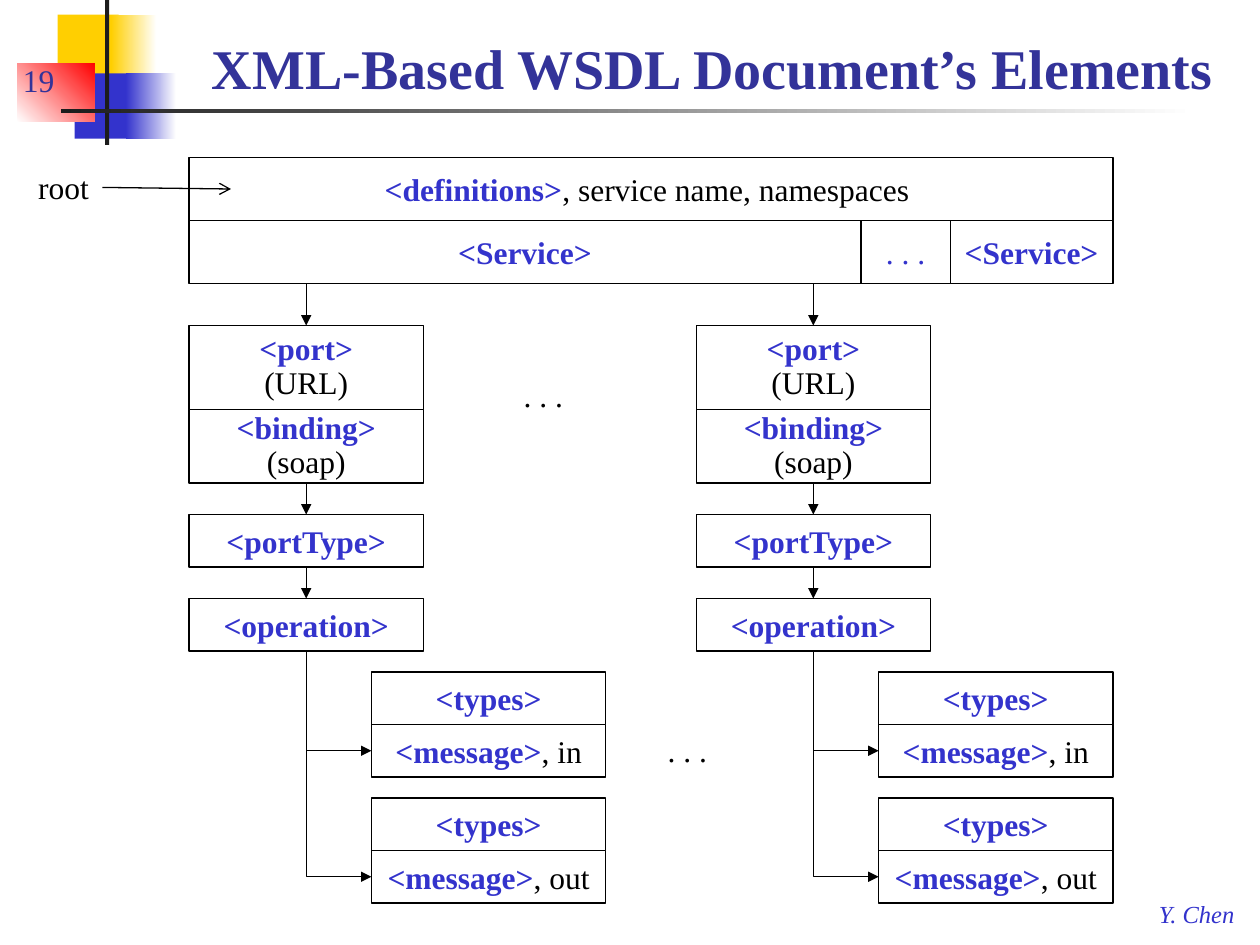
import dataclasses
import typing

import pptx
import pptx.dml.color
import pptx.enum.shapes
import pptx.enum.text
import pptx.oxml
import pptx.oxml.ns
import pptx.util

# The slide is a grid of 120 columns by 90 rows
COLS, ROWS = 120, 90
FONT = "Times New Roman"
BLACK, WHITE, BLUE, NAVY = "000000", "FFFFFF", "3333CC", "333399"
GOLD, RED, DARK = "FFCF01", "FF0000", "1C1C1C"
ANCHOR = pptx.enum.text.MSO_ANCHOR
KIND = pptx.enum.shapes.MSO_CONNECTOR

deck = pptx.Presentation()
deck.slide_width = pptx.util.Inches(10)
deck.slide_height = pptx.util.Inches(7.5)
slide = deck.slides.add_slide(deck.slide_layouts[6])


@dataclasses.dataclass
class Area:
    col: float
    row: float
    wide: float
    high: float

    def place(self) -> tuple:
        return (across(self.col), down(self.row), across(self.wide), down(self.high))


class Run(typing.NamedTuple):
    text: str
    color: str = BLACK
    bold: bool = False
    size: float = 18
    slant: bool = False


class Cell(typing.NamedTuple):
    area: Area
    lines: list


def across(cols: float) -> int:
    return round(deck.slide_width * cols / COLS)


def down(rows: float) -> int:
    return round(deck.slide_height * rows / ROWS)


def paint(code: str) -> pptx.dml.color.RGBColor:
    return pptx.dml.color.RGBColor.from_string(code)


def tag(name: str) -> Run:
    return Run(f"<{name}>", BLUE, True)


def write(shape, lines: list, anchor, align=None, space=None) -> None:
    frame = shape.text_frame
    frame.text = "\n".join("" for _ in lines)
    frame.vertical_anchor = anchor
    frame.word_wrap = False
    for para, runs in zip(frame.paragraphs, lines):
        para.alignment = align
        para.line_spacing = space
        for item in runs:
            run = para.add_run()
            run.text = item.text
            font = run.font
            font.name, font.size = FONT, pptx.util.Pt(item.size)
            font.bold, font.italic = item.bold, item.slant
            font.color.rgb = paint(item.color)


def draw_rect(area: Area, fill: str, fade: str = "", angle: float = 0):
    shape = slide.shapes.add_shape(
        pptx.enum.shapes.MSO_SHAPE.RECTANGLE, *area.place())
    shape.shadow.inherit = False
    shape.line.fill.background()
    if fade:
        shape.fill.gradient()
        shape.fill.gradient_angle = angle
        for stop, code in zip(shape.fill.gradient_stops, (fill, fade)):
            stop.color.rgb = paint(code)
    else:
        shape.fill.solid()
        shape.fill.fore_color.rgb = paint(fill)
    return shape


def draw_cell(cell: Cell) -> None:
    shape = draw_rect(cell.area, WHITE)
    shape.line.color.rgb = paint(BLACK)
    shape.line.width = pptx.util.Pt(0.75)
    write(shape, cell.lines, ANCHOR.MIDDLE, pptx.enum.text.PP_ALIGN.CENTER,
          0.9 if len(cell.lines) > 1 else None)


def draw_text(area: Area, run: Run, anchor=ANCHOR.TOP, grow: bool = True) -> None:
    box = slide.shapes.add_textbox(*area.place())
    write(box, [[run]], anchor)
    box.text_frame.word_wrap = not grow
    if grow:
        box.text_frame.auto_size = pptx.enum.text.MSO_AUTO_SIZE.SHAPE_TO_FIT_TEXT


def draw_arrow(x: float, y: float, to_x: float, to_y: float,
               head: str = "triangle", kind=KIND.STRAIGHT):
    link = slide.shapes.add_connector(
        kind, across(x), down(y), across(to_x), down(to_y))
    link.line.color.rgb = paint(BLACK)
    link.line.width = pptx.util.Pt(0.75)
    props = link._element.spPr
    space = pptx.oxml.ns.nsdecls("a")
    props.find(pptx.oxml.ns.qn("a:ln")).append(
        pptx.oxml.parse_xml(f'<a:tailEnd {space} type="{head}"/>'))
    props.append(pptx.oxml.parse_xml(f"<a:effectLst {space}/>"))
    return link


def draw_elbow(x: float, y: float, to_x: float, to_y: float) -> None:
    """Run down, then right: a one-bend connector turned on its side."""
    mid_x, mid_y = (x + to_x) / 2, (y + to_y) / 2
    half_w, half_h = (to_y - y) / 2, (to_x - x) / 2
    link = draw_arrow(mid_x - half_w, mid_y - half_h,
                      mid_x + half_w, mid_y + half_h, kind=KIND.ELBOW)
    props = link._element.spPr
    props.find(pptx.oxml.ns.qn("a:prstGeom")).set("prst", "bentConnector2")
    frame = props.find(pptx.oxml.ns.qn("a:xfrm"))
    frame.set("rot", str(270 * 60000))
    frame.set("flipH", "1")


WIDE = 22.33  # width of a box in a branch
SHIFT = 17.37  # step from a branch to its messages


def draw_branch(left: float) -> None:
    mid = left + WIDE / 2
    side = left + SHIFT
    stack = [
        (31, 8, [[tag("port")], [Run("(URL)")]]),
        (39, 7, [[tag("binding")], [Run("(soap)")]]),
        (49, 5, [[tag("portType")]]),
        (57, 5, [[tag("operation")]]),
    ]
    for row, high, lines in stack:
        draw_cell(Cell(Area(left, row, WIDE, high), lines))
    for row, end in ((27, 31), (46, 49), (54, 57)):
        draw_arrow(mid, row, mid, end)
    for row, way in ((64, "in"), (76, "out")):
        draw_cell(Cell(Area(side, row, WIDE, 5), [[tag("types")]]))
        draw_cell(Cell(Area(side, row + 5, WIDE, 5),
                       [[tag("message"), Run(f", {way}")]]))
        draw_elbow(mid, 62, side, row + 7.5)


# Corner ornament and title rule
draw_rect(Area(5.5, 1.4, 5.8, 6.2), GOLD)
draw_rect(Area(10.6, 1.4, 4.3, 6.2), GOLD, WHITE)
draw_rect(Area(7.1, 7, 5.5, 6.2), BLUE)
draw_rect(Area(12, 7, 4.8, 6.2), BLUE, WHITE)
draw_rect(Area(1.65, 6, 7.35, 5.6), WHITE, RED, 45)
draw_rect(Area(10, 0, 0.4, 13.8), DARK)
draw_rect(Area(5.8, 10.4, 108, 0.35), DARK, WHITE)

# Title, page number and author
draw_text(Area(109.2, 85, 9.8, 4), Run("Y. Chen", BLUE, size=14, slant=True))
draw_text(Area(1, 4, 25, 6), Run("19", NAVY), ANCHOR.BOTTOM, False)
draw_text(Area(19, 2, 100, 8.2),
          Run("XML-Based WSDL Document’s Elements", NAVY, True, 32),
          ANCHOR.BOTTOM, False)

# Root and services
for cell in (
    Cell(Area(18, 15, 88, 6),
         [[tag("definitions"), Run(", service name, namespaces ")]]),
    Cell(Area(18, 21, 64, 6), [[tag("Service")]]),
    Cell(Area(82, 21, 8.5, 6), [[Run(". . .", BLUE)]]),
    Cell(Area(90.5, 21, 15.5, 6), [[tag("Service")]]),
):
    draw_cell(cell)
draw_text(Area(2.45, 15.4, 7.4, 4.8), Run("root"))
draw_arrow(9.75, 17.85, 22, 18, "arrow")

# Port branches and the gaps between them
for left in (18, 106 - WIDE - SHIFT):
    draw_branch(left)
for col, row in ((48.7, 35.2), (62.4, 69)):
    draw_text(Area(col, row, 6.6, 4.8), Run(". . ."))

deck.save("out.pptx")
